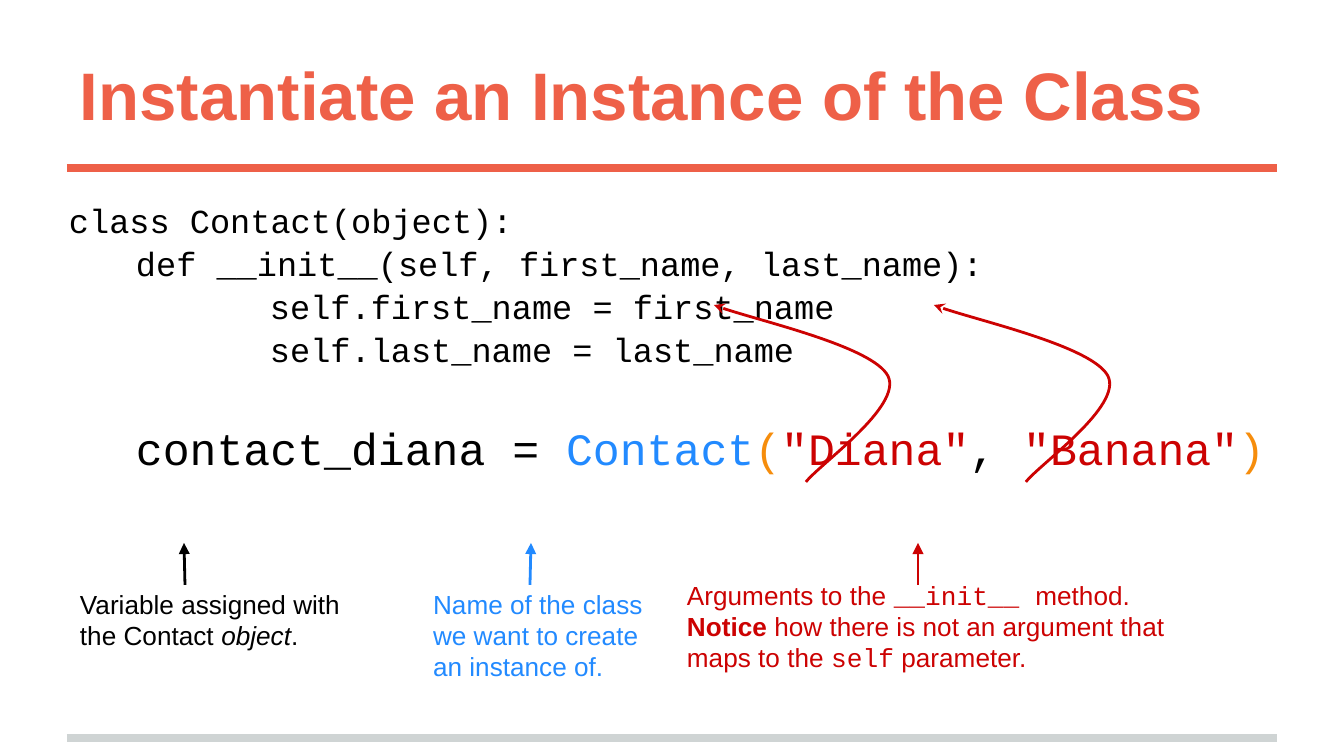
from pptx import Presentation
from pptx.dml.color import RGBColor
from pptx.enum.shapes import MSO_CONNECTOR
from pptx.enum.text import MSO_ANCHOR
from pptx.oxml.ns import qn
from pptx.util import Pt
from lxml.etree import SubElement

PX = 914400 / 134.4  # EMU per px
BLACK = RGBColor(0, 0, 0)
CORAL = RGBColor(0xEE, 0x60, 0x48)
GREY = RGBColor(0xCF, 0xD4, 0xD4)
BLUE = RGBColor(0x22, 0x8A, 0xFF)
ORANGE = RGBColor(0xF6, 0x8D, 0x0C)
RED = RGBColor(0xCC, 0x02, 0x02)
SANS, MONO = "Arial", "Courier New"

TITLE = "Instantiate an Instance of the Class"
RULES = [(738, GREY), (168, CORAL)]  # y, colour
RULE_LEFT, RULE_RIGHT = 67, 1277

INDENT = 67
CODE = [  # indent level, text
    (0, "class Contact(object):"),
    (1, "def __init__(self, first_name, last_name):"),
    (3, "self.first_name = first_name"),
    (3, "self.last_name = last_name"),
]
CALL = [
    ("contact_diana = ", BLACK),
    ("Contact", BLUE),
    ("(", ORANGE),
    ('"Diana"', RED),
    (", ", BLACK),
    ('"Banana"', RED),
    (")", ORANGE),
]

# box, colour, arrow x at foot and tip, runs of (text, style)
NOTES = [
    ((67, 575, 320, 109), BLACK, (185, 184),
     [("Variable assigned with the Contact ", ""), ("object", "italic"), (".", "")]),
    ((420, 575, 264, 126), BLUE, (530, 531),
     [("Name of the class we want to create an instance of.", "")]),
    ((674, 566, 538, 142), RED, (918, 918),
     [("Arguments to the ", ""), ("__init__ ", "mono"), ("method.", ""), ("\n", ""),
      ("Notice", "bold"), (" how there is not an argument that maps to the ", ""),
      ("self", "mono"), (" parameter.", "")]),
]
ARROW_FOOT, ARROW_TIP = 585, 543

# start, then two Bézier segments of three points each
CURVE = [(806, 482), (820, 464), (903, 406), (888, 376),
         (873, 347), (743, 317), (714, 305)]
CURVE_SHIFTS = [0, 220]


def px(n):
    return round(n * PX)


def set_font(font, size, name, color):
    font.size, font.name, font.color.rgb = Pt(size), name, color


def add_text_box(slide, box):
    tf = slide.shapes.add_textbox(*map(px, box)).text_frame
    tf.word_wrap = True
    tf.margin_left = tf.margin_right = tf.margin_top = tf.margin_bottom = px(13)
    return tf


def add_arrowhead(sp, kind):
    SubElement(sp.line._get_or_add_ln(), qn("a:tailEnd"), type=kind)


def add_line(slide, x1, y1, x2, y2, color, width):
    line = slide.shapes.add_connector(MSO_CONNECTOR.STRAIGHT, *map(px, (x1, y1, x2, y2)))
    line.line.color.rgb, line.line.width = color, Pt(width)
    SubElement(line._element.spPr, qn("a:effectLst"))
    return line


def add_curve(slide, points):
    """Draw a polyline through all points, then turn each three legs into one Bézier."""
    builder = slide.shapes.build_freeform(*points[0], scale=PX)
    builder.add_line_segments(points[1:], close=False)
    sp = builder.convert_to_shape()
    sp.shadow.inherit = False
    sp.fill.background()
    sp.line.color.rgb, sp.line.width = RED, Pt(1.5)
    add_arrowhead(sp, "stealth")
    path = next(sp._element.iter(qn("a:path")))
    legs = path.findall(qn("a:lnTo"))
    for i in range(0, len(legs), 3):
        bezier = SubElement(path, qn("a:cubicBezTo"))
        for leg in legs[i:i + 3]:
            bezier.append(leg[0])
            path.remove(leg)


def add_code(slide):
    tf = add_text_box(slide, (56, 185, 1224, 547))
    tf.margin_right = 0
    for i, (level, text) in enumerate(CODE):
        p = tf.paragraphs[0] if i == 0 else tf.add_paragraph()
        p.text = text
        p.line_spacing = 1.06
        p._p.get_or_add_pPr().set("marL", str(px(level * INDENT)))
        set_font(p.font, 18, MONO, BLACK)
    p = tf.add_paragraph()
    p.space_before = Pt(28)
    p._p.get_or_add_pPr().set("marL", str(px(INDENT)))
    for text, color in CALL:
        r = p.add_run()
        r.text = text
        set_font(r.font, 24, MONO, color)


def add_note(slide, box, color, arrow, runs):
    p = add_text_box(slide, box).paragraphs[0]
    for text, style in runs:
        if text == "\n":
            p.add_line_break()
            continue
        r = p.add_run()
        r.text = text
        set_font(r.font, 14, MONO if style == "mono" else SANS, color)
        r.font.bold = style == "bold"
        r.font.italic = style == "italic"
    foot, tip = arrow
    add_arrowhead(add_line(slide, foot, ARROW_FOOT, tip, ARROW_TIP, color, 1.5), "triangle")


def main():
    prs = Presentation()
    prs.slide_width, prs.slide_height = px(1344), px(756)
    slide = prs.slides.add_slide(prs.slide_layouts[6])

    for y, color in RULES:
        add_line(slide, RULE_LEFT, y, RULE_RIGHT, y, color, 4)

    tf = add_text_box(slide, (67, 31, 1210, 126))
    tf.vertical_anchor = MSO_ANCHOR.MIDDLE
    p = tf.paragraphs[0]
    p.text = TITLE
    set_font(p.font, 36, SANS, CORAL)
    p.font.bold = True

    add_code(slide)
    for shift in CURVE_SHIFTS:
        add_curve(slide, [(x + shift, y) for x, y in CURVE])
    for note in NOTES:
        add_note(slide, *note)

    prs.save("out.pptx")


if __name__ == "__main__":
    main()
